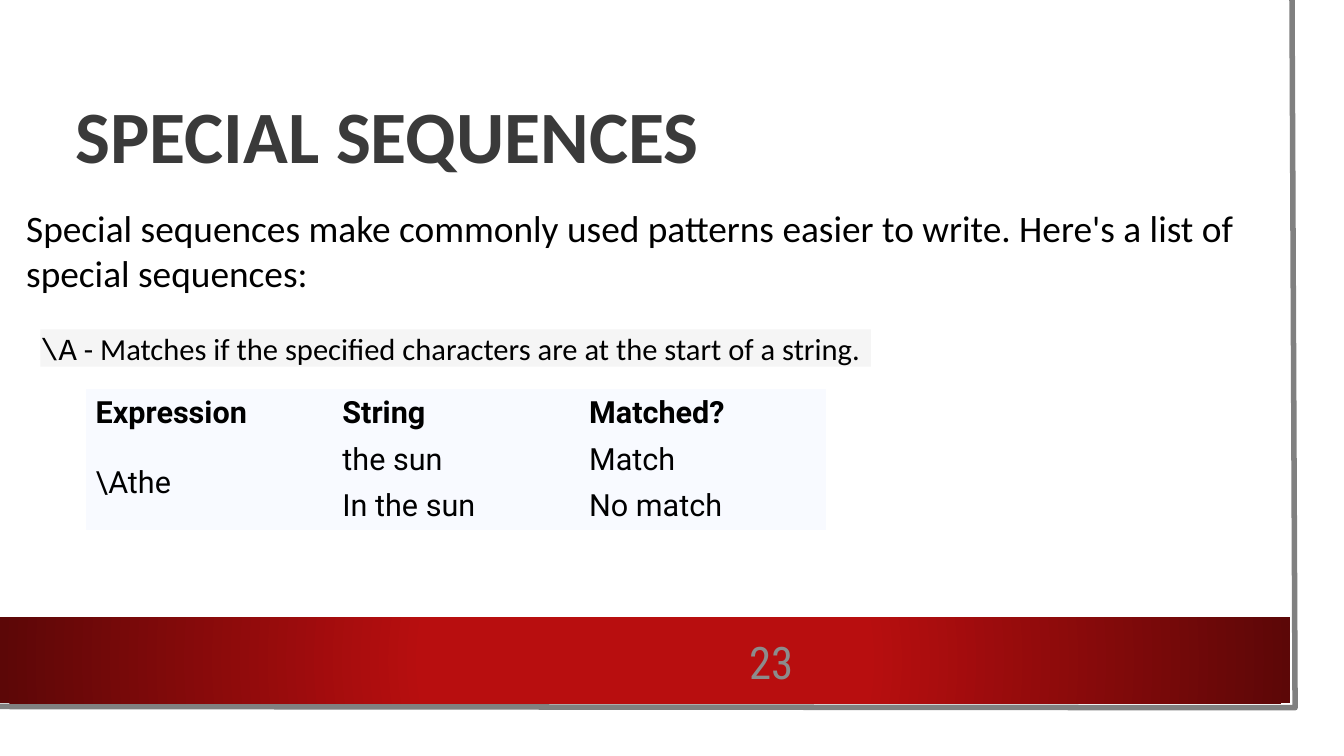
import lxml.etree
import pptx
import pptx.dml.color
import pptx.enum.shapes
import pptx.enum.text
import pptx.oxml.ns
import pptx.util

Pt = pptx.util.Pt
qn = pptx.oxml.ns.qn
ANCHOR = pptx.enum.text.MSO_ANCHOR
ALIGN = pptx.enum.text.PP_ALIGN
RECTANGLE = pptx.enum.shapes.MSO_SHAPE.RECTANGLE

PAGE_WIDTH, PAGE_HEIGHT = 1583.28, 890.64
NO_STYLE_NO_GRID = "{2D5ABB26-0587-4C30-8999-92F81FD0307C}"
TABLE_ROWS = [
    ["Expression", "String", "Matched?"],
    ["\\Athe", "the sun", "Match"],
    ["", "In the sun", "No match"],
]


def colour(value):
    return pptx.dml.color.RGBColor.from_string(value)


def in_points(box):
    return [Pt(length) for length in box]


def format_span(span, size, face, tint, bold=False):
    span.font.size = Pt(size)
    span.font.name = face
    span.font.color.rgb = colour(tint)
    span.font.bold = bold


def prepare_frame(frame, anchor=ANCHOR.MIDDLE, across=0, down=0):
    frame.word_wrap = True
    frame.vertical_anchor = anchor
    frame.margin_left = frame.margin_right = Pt(across)
    frame.margin_top = frame.margin_bottom = Pt(down)


def add_page_edge(page, box):
    """Grey line down the right side and along the bottom."""
    left, top, width, height = box
    right, bottom = left + width, top + height
    builder = page.shapes.build_freeform(Pt(right - 3.6), Pt(top))
    corners = [(right, bottom), (left, bottom - 1.44)]
    builder.add_line_segments([in_points(corner) for corner in corners], close=False)
    edge = builder.convert_to_shape()
    edge.shadow.inherit = False
    edge.fill.background()
    edge.line.color.rgb = colour("808080")
    edge.line.width = Pt(6.5)


def add_footer(page, box, number):
    """Red band that darkens towards its ends, with the page number."""
    left, top, width, height = box
    band = page.shapes.add_shape(RECTANGLE, *in_points(box))
    band.shadow.inherit = False
    band.line.fill.background()
    band.fill.gradient()
    stops = [(0.34, "B80E0F"), (1, "5C0707")]
    for stop, (position, tint) in zip(band.fill.gradient_stops, stops):
        stop.position = position
        stop.color.rgb = colour(tint)

    # Radial gradient from the centre
    gradient = band._element.spPr.find(qn("a:gradFill"))
    gradient.remove(gradient.find(qn("a:lin")))
    radial = lxml.etree.SubElement(gradient, qn("a:path"), path="circle")
    centre = {side: "50000" for side in "ltrb"}
    lxml.etree.SubElement(radial, qn("a:fillToRect"), centre)

    # Page number
    number_box = (left + 816.48, top + 20.16, 118.08, 64.8)
    label = page.shapes.add_textbox(*in_points(number_box))
    prepare_frame(label.text_frame)
    label.text_frame.text = number
    para = label.text_frame.paragraphs[0]
    para.alignment = ALIGN.RIGHT
    format_span(para.runs[0], 52.8, "Roboto Condensed", "8C8C8C")


def add_title(page, box, text):
    title = page.shapes.title
    title.left, title.top, title.width, title.height = in_points(box)
    prepare_frame(title.text_frame)
    title.text_frame.text = text
    para = title.text_frame.paragraphs[0]
    para.alignment = ALIGN.LEFT
    para.line_spacing = 0.9
    format_span(para.runs[0], 87, "Calibri", "3A3A3A", bold=True)


def add_intro(page, box, text):
    intro = page.shapes.add_textbox(*in_points(box))
    prepare_frame(intro.text_frame, ANCHOR.TOP, 7.2, 3.6)
    intro.text_frame.text = text
    format_span(intro.text_frame.paragraphs[0].runs[0], 44, "Calibri", "000000")


def add_sequence_note(page, box, sequence, meaning):
    """Grey strip with the sequence in code type and its meaning."""
    strip = page.shapes.add_shape(RECTANGLE, *in_points(box))
    strip.shadow.inherit = False
    strip.fill.solid()
    strip.fill.fore_color.rgb = colour("F5F5F5")
    strip.line.fill.background()
    prepare_frame(strip.text_frame)
    para = strip.text_frame.paragraphs[0]
    para.alignment = ALIGN.LEFT
    for text, face in [(sequence, "Courier New"), (meaning, "Calibri")]:
        span = para.add_run()
        span.text = text
        format_span(span, 36, face, "000000")


def add_match_table(page, box, rows):
    left, top, width, height = box
    frame = page.shapes.add_table(len(rows), len(rows[0]), *in_points(box))
    table = frame.table
    table.horz_banding = False
    table._tbl.tblPr.find(qn("a:tableStyleId")).text = NO_STYLE_NO_GRID
    for row in table.rows:
        row.height = Pt(height / len(rows))
    for row_index, texts in enumerate(rows):
        for column_index, text in enumerate(texts):
            cell = table.cell(row_index, column_index)
            cell.fill.solid()
            cell.fill.fore_color.rgb = colour("F8FAFF")
            cell.vertical_anchor = ANCHOR.MIDDLE
            cell.margin_left = cell.margin_right = Pt(12)
            cell.margin_top = cell.margin_bottom = Pt(6)
            cell.text_frame.text = text
            for span in cell.text_frame.paragraphs[0].runs:
                format_span(span, 36, "Roboto", "000000", bold=row_index == 0)
    # One expression covers both test strings
    table.cell(1, 0).merge(table.cell(2, 0))


def build_sequence_slide(deck, box):
    left, top, width, height = box
    page = deck.slides.add_slide(deck.slide_layouts.get_by_name("Title Only"))
    add_page_edge(page, (left - 3.6, top, 1529.28, 833.76))
    add_footer(page, (left, top + 727.2, 1519.92, 101.52), "23")
    add_title(page, (left + 89.28, top + 89.28, 1350, 149.76), "SPECIAL SEQUENCES")
    add_intro(
        page,
        (left + 23.76, top + 238.32, 1470.24, 113.76),
        "Special sequences make commonly used patterns easier to write. "
        "Here's a list of special sequences:",
    )
    add_sequence_note(
        page,
        (left + 47.52, top + 388.08, 978.48, 43.92),
        "\\A",
        " - Matches if the specified characters are at the start of a string.",
    )
    add_match_table(page, (left + 100.8, top + 458.64, 871.92, 165.6), TABLE_ROWS)


def main():
    deck = pptx.Presentation()
    deck.slide_width, deck.slide_height = Pt(PAGE_WIDTH), Pt(PAGE_HEIGHT)
    build_sequence_slide(deck, (0, 0, PAGE_WIDTH, PAGE_HEIGHT))
    deck.save("out.pptx")


if __name__ == "__main__":
    main()
